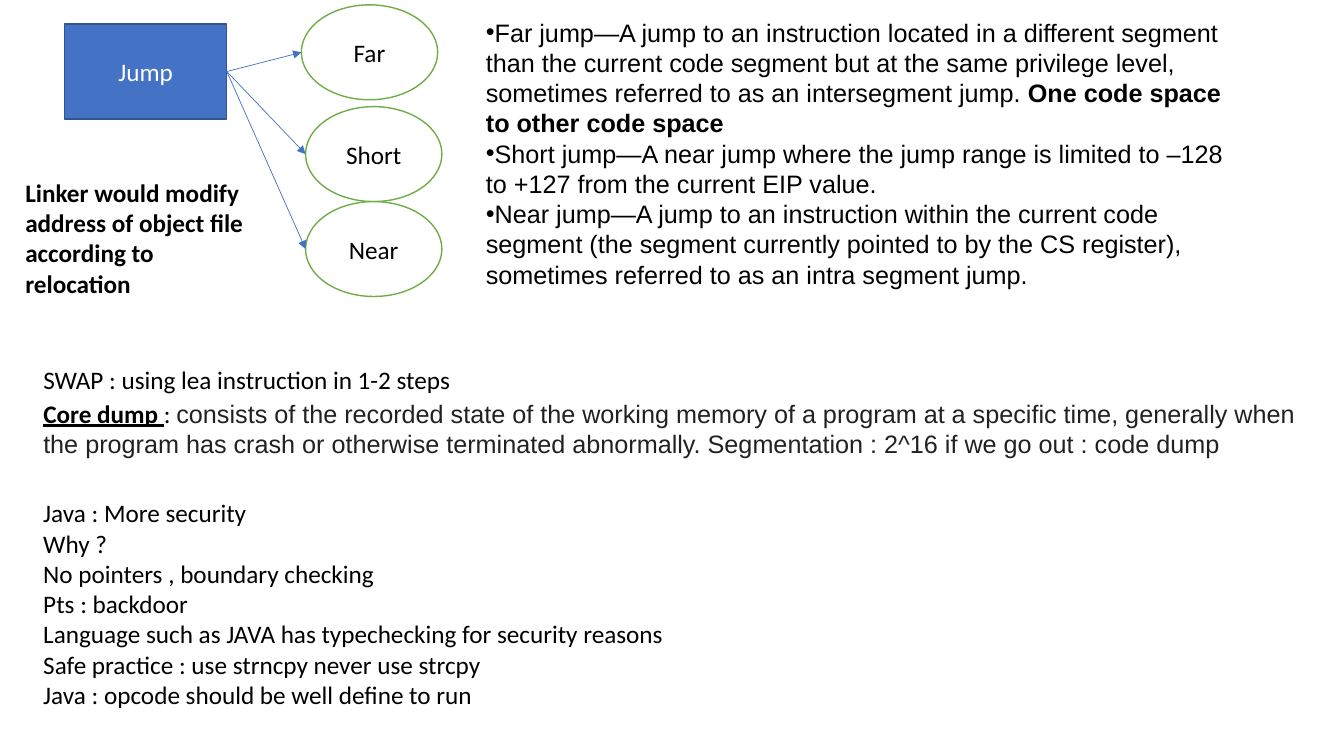
from dataclasses import dataclass

from lxml import etree
from pptx import Presentation
from pptx import util as u
from pptx.dml.color import RGBColor
from pptx.enum import shapes, text
from pptx.oxml.ns import qn


@dataclass(frozen=True)
class Theme:
    blue: str = "4472C4"
    dark_blue: str = "325491"
    green: str = "70AD47"
    white: str = "FFFFFF"
    black: str = "000000"
    charcoal: str = "202122"
    body_font: str = "Calibri"
    definition_font: str = "Arial"
    size: float = 18
    outline: float = 1
    arrow: float = 0.5


class NotesSlide:
    def __init__(self, slide, theme):
        self.slide = slide
        self.theme = theme

    def style(self, run, font=None, color=None, bold=False, underline=False):
        run.font.name = font or self.theme.body_font
        run.font.size = u.Pt(self.theme.size)
        run.font.color.rgb = RGBColor.from_string(color or self.theme.black)
        run.font.bold = bold
        run.font.underline = underline

    def node(self, kind, label, box, fill, outline, color):
        node = self.slide.shapes.add_shape(kind, *map(u.Pt, box))
        node.shadow.inherit = False
        node.fill.solid()
        node.fill.fore_color.rgb = RGBColor.from_string(fill)
        node.line.color.rgb = RGBColor.from_string(outline)
        node.line.width = u.Pt(self.theme.outline)
        frame = node.text_frame
        frame.text = label
        frame.vertical_anchor = text.MSO_ANCHOR.MIDDLE
        frame.paragraphs[0].alignment = text.PP_ALIGN.CENTER
        self.style(frame.paragraphs[0].runs[0], color=color)
        return node

    def arrow(self, source, target):
        """Run from the source's right side to the target's left side."""
        arrow = self.slide.shapes.add_connector(
            shapes.MSO_CONNECTOR.STRAIGHT, 0, 0,
            target.left, target.top + target.height // 2)
        arrow.begin_connect(source, 3)
        arrow.line.color.rgb = RGBColor.from_string(self.theme.blue)
        arrow.line.width = u.Pt(self.theme.arrow)
        etree.SubElement(arrow.line._get_or_add_ln(), qn("a:tailEnd"), type="triangle")
        etree.SubElement(arrow._element.spPr, qn("a:effectLst"))

    def note(self, box, paragraphs, bullet=None):
        """Write paragraphs, each a list of (wording, style options) pairs."""
        frame = self.slide.shapes.add_textbox(*map(u.Pt, box)).text_frame
        frame.word_wrap = True
        frame.auto_size = text.MSO_AUTO_SIZE.SHAPE_TO_FIT_TEXT
        for index, pieces in enumerate(paragraphs):
            paragraph = frame.add_paragraph() if index else frame.paragraphs[0]
            if bullet:
                properties = paragraph._p.get_or_add_pPr()
                etree.SubElement(properties, qn("a:buFont"), typeface=self.theme.definition_font)
                etree.SubElement(properties, qn("a:buChar"), char=bullet)
            for wording, options in pieces:
                run = paragraph.add_run()
                run.text = wording
                self.style(run, **options)


def main():
    deck = Presentation()
    deck.slide_width, deck.slide_height = u.Pt(960), u.Pt(540)
    theme = Theme()
    notes = NotesSlide(deck.slides.add_slide(deck.slide_layouts[6]), theme)

    jump = notes.node(shapes.MSO_SHAPE.RECTANGLE, "Jump", (46, 17.2, 116, 67.8),
                      theme.blue, theme.dark_blue, theme.white)
    kinds = [("Far", 215.3, 3.5), ("Short", 218.3, 76.2), ("Near", 218.3, 144)]
    for kind, left, top in kinds:
        target = notes.node(shapes.MSO_SHAPE.OVAL, kind, (left, top, 97.3, 67.8),
                            theme.white, theme.green, theme.black)
        notes.arrow(jump, target)

    definition = {"font": theme.definition_font}
    notes.note((340, 8.6, 547, 204), [
        [("Far jump—A jump to an instruction located in a different segment than the "
          "current code segment but at the same privilege level, sometimes referred to "
          "as an intersegment jump. ", definition),
         ("One code space to other code space", {**definition, "bold": True})],
        [("Short jump—A near jump where the jump range is limited to –128 to +127 "
          "from the current EIP value.", definition)],
        [("Near jump—A jump to an instruction within the current code segment (the "
          "segment currently pointed to by the CS register), sometimes referred to "
          "as an intra segment jump.", definition)],
    ], bullet="•")

    notes.note((11, 123, 172, 94), [
        [("Linker would modify address of object file according to relocation",
          {"bold": True})]])

    margin = 23.8
    notes.note((margin, 257, 361, 29), [[("SWAP : using lea instruction in 1-2 steps", {})]])
    notes.note((margin, 280.6, 929.5, 51), [[
        ("Core dump ", {"bold": True, "underline": True}),
        (": ", {}),
        ("consists of the recorded state of the working memory of a program at a "
         "specific time, generally when the program has crash or otherwise terminated "
         "abnormally. Segmentation : 2^16 if we go out : code dump",
         {**definition, "color": theme.charcoal}),
    ]])

    security = [
        "Java : More security",
        "Why ?",
        "No pointers , boundary checking",
        "Pts : backdoor",
        "Language such as JAVA has typechecking for security reasons",
        "Safe practice : use strncpy never use strcpy",
        "Java : opcode should be well define to run",
    ]
    notes.note((margin, 352, 905, 160), [[(line, {})] for line in security])

    deck.save("out.pptx")


if __name__ == "__main__":
    main()
